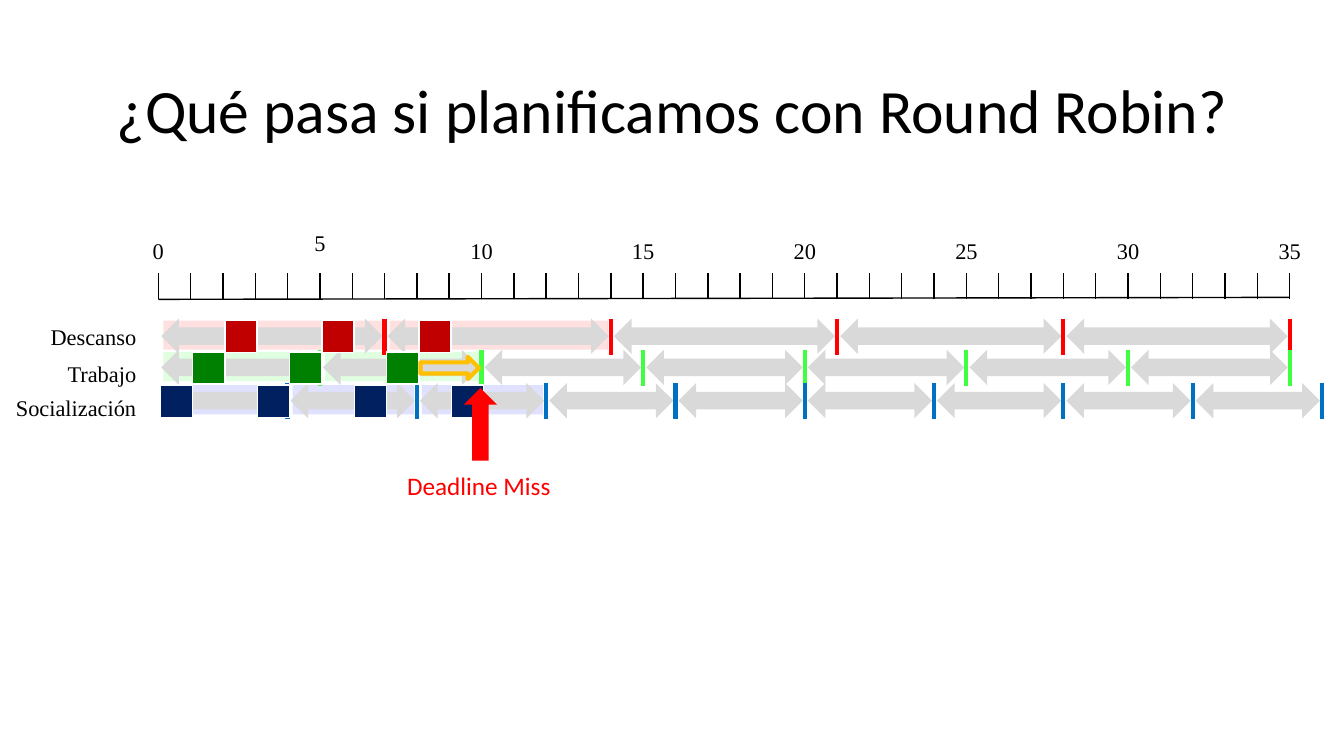
from dataclasses import dataclass

from lxml import etree
from pptx import Presentation
from pptx.dml.color import RGBColor
from pptx.enum.shapes import MSO_CONNECTOR, MSO_SHAPE
from pptx.enum.text import MSO_ANCHOR, PP_ALIGN
from pptx.oxml.ns import qn
from pptx.util import Inches, Pt

RECT = MSO_SHAPE.RECTANGLE
PERIOD_ARROW = MSO_SHAPE.LEFT_RIGHT_ARROW
RIGHT_ARROW = MSO_SHAPE.RIGHT_ARROW
UP_ARROW = MSO_SHAPE.UP_ARROW
STRAIGHT = MSO_CONNECTOR.STRAIGHT
MIDDLE = MSO_ANCHOR.MIDDLE
LEFT, CENTER, RIGHT = PP_ALIGN.LEFT, PP_ALIGN.CENTER, PP_ALIGN.RIGHT


@dataclass(frozen=True)
class Theme:
    black: str = "000000"
    white: str = "FFFFFF"
    gray: str = "D9D9D9"
    red: str = "FF0000"
    amber: str = "FFC000"
    sans: str = "Calibri"
    serif: str = "Times New Roman"
    title: int = 44
    note: int = 18
    label: int = 16


T = Theme()
ORIGIN, UNIT, LAST = 1.57, 0.3206, 35

TASKS = [
    dict(name="Descanso", top=3.16, label_top=3.16, period=7, jobs=2, slots=[2, 5, 8],
         band="FFE0E0", block="C00000", deadline=T.red),
    dict(name="Trabajo", top=3.47, label_top=3.52, period=5, jobs=2, slots=[1, 4, 7],
         band="E0FFE0", block="008000", deadline="40FF40"),
    dict(name="Socialización", top=3.8, label_top=3.86, period=4, jobs=3, slots=[0, 3, 6, 9],
         band="E0E0FF", block="002060", deadline="0070C0"),
]

prs = Presentation()
prs.slide_width, prs.slide_height = Inches(13.33), Inches(7.5)
s = prs.slides.add_slide(prs.slide_layouts[5])


def add_box(kind, x, y, w, h, fill=None, line=None, width=1):
    sp = s.shapes.add_shape(kind, Inches(x), Inches(y), Inches(w), Inches(h))
    sp.shadow.inherit = False
    if fill:
        sp.fill.solid()
        sp.fill.fore_color.rgb = RGBColor.from_string(fill)
    else:
        sp.fill.background()
    if line:
        sp.line.color.rgb = RGBColor.from_string(line)
        sp.line.width = Pt(width)
    else:
        sp.line.fill.background()


def add_line(x1, y1, x2, y2, color, width):
    cx = s.shapes.add_connector(STRAIGHT, Inches(x1), Inches(y1), Inches(x2), Inches(y2))
    cx.line.color.rgb = RGBColor.from_string(color)
    cx.line.width = Pt(width)
    etree.SubElement(cx._element.spPr, qn("a:effectLst"))


title = s.shapes.title
title.left, title.top = Inches(0.92), Inches(0.4)
title.width, title.height = Inches(11.5), Inches(1.45)
tf = title.text_frame
tf.text = "¿Qué pasa si planificamos con Round Robin?"
tf.vertical_anchor = MIDDLE
p = tf.paragraphs[0]
p.alignment = CENTER
p.line_spacing = 0.9
p.font.name, p.font.size = T.sans, Pt(T.title)
p.font.color.rgb = RGBColor.from_string(T.black)

for task in TASKS:
    span = task["period"] * UNIT
    for job in range(task["jobs"]):
        add_box(RECT, ORIGIN + job * span + 0.05, task["top"] + 0.02, span - 0.08, 0.29,
                task["band"])

for task in TASKS:
    top, span = task["top"], task["period"] * UNIT
    for job in range(-(-LAST // task["period"])):
        start = ORIGIN + job * span
        add_box(PERIOD_ARROW, start + 0.03, top, span - 0.05, 0.35, T.gray)
        add_line(start + span, top, start + span, top + 0.36, task["deadline"], 3)

for task in TASKS:
    for slot in task["slots"]:
        add_box(RECT, ORIGIN + slot * UNIT + 0.02, task["top"] + 0.02, 0.32, 0.32,
                task["block"], T.white)

add_line(ORIGIN, 2.97, ORIGIN + LAST * UNIT, 2.95, T.black, 1)
for tick in range(LAST + 1):
    x = ORIGIN + tick * UNIT
    add_line(x, 2.97, x, 2.71, T.black, 1)

add_box(UP_ARROW, 4.6, 3.85, 0.33, 0.72, T.red)
add_box(RIGHT_ARROW, 4.17, 3.54, 0.58, 0.22, line=T.amber, width=3)

texts = [(task["name"], 0.03, task["label_top"], 1.42, 0.37, RIGHT, T.serif, T.label, T.black)
         for task in TASKS]
for tick in range(0, LAST + 1, 5):
    top = 2.22 if tick == 5 else 2.3
    texts.append((str(tick), ORIGIN + tick * UNIT - 0.21, top, 0.42, 0.37,
                  CENTER, T.serif, T.label, T.black))
texts.append(("Deadline Miss", 3.94, 4.62, 1.64, 0.4, LEFT, T.sans, T.note, T.red))

for text, x, y, w, h, align, font, size, color in texts:
    tf = s.shapes.add_textbox(Inches(x), Inches(y), Inches(w), Inches(h)).text_frame
    tf.word_wrap = False
    tf.text = text
    p = tf.paragraphs[0]
    p.alignment = align
    p.font.name, p.font.size = font, Pt(size)
    p.font.color.rgb = RGBColor.from_string(color)

prs.save("out.pptx")
